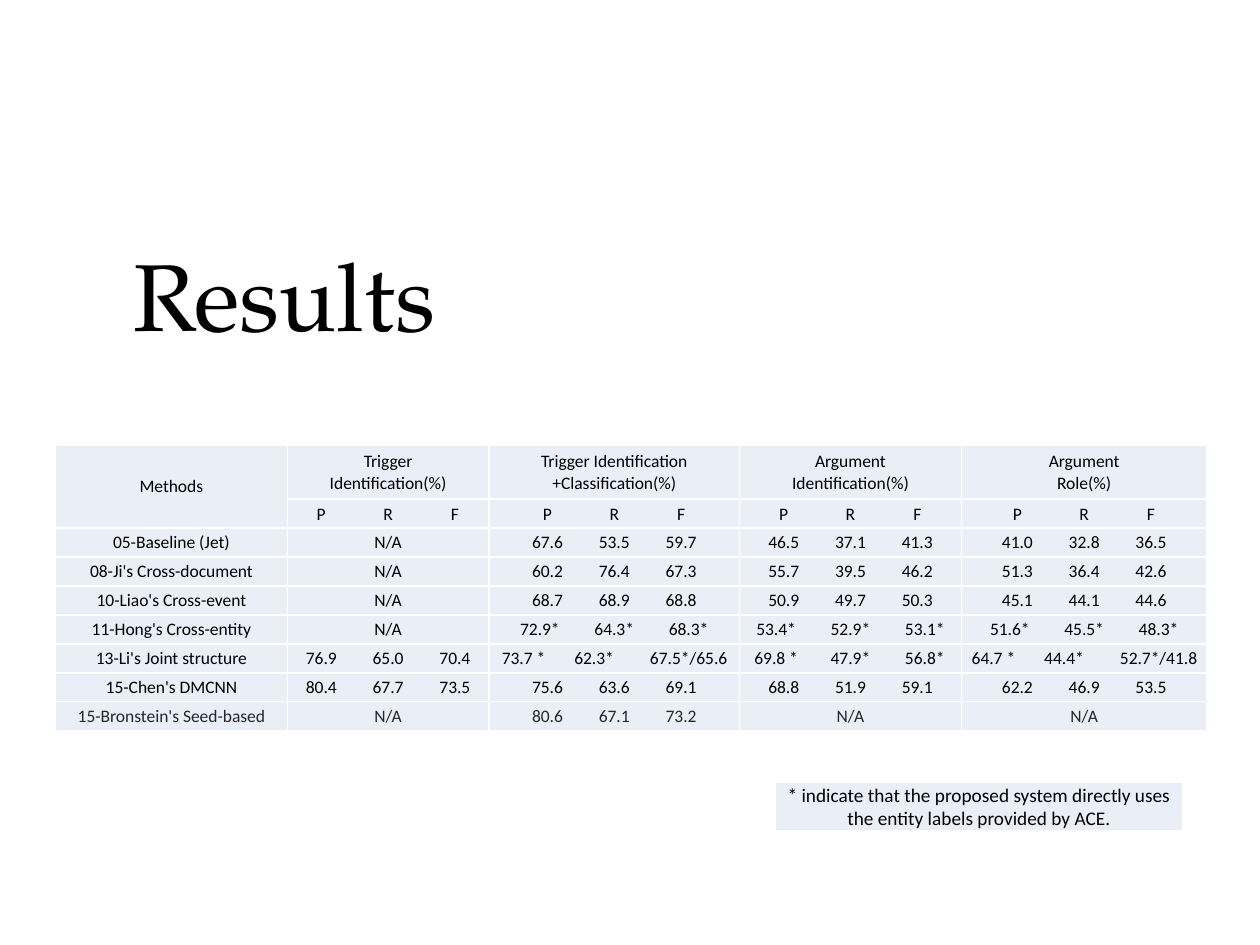
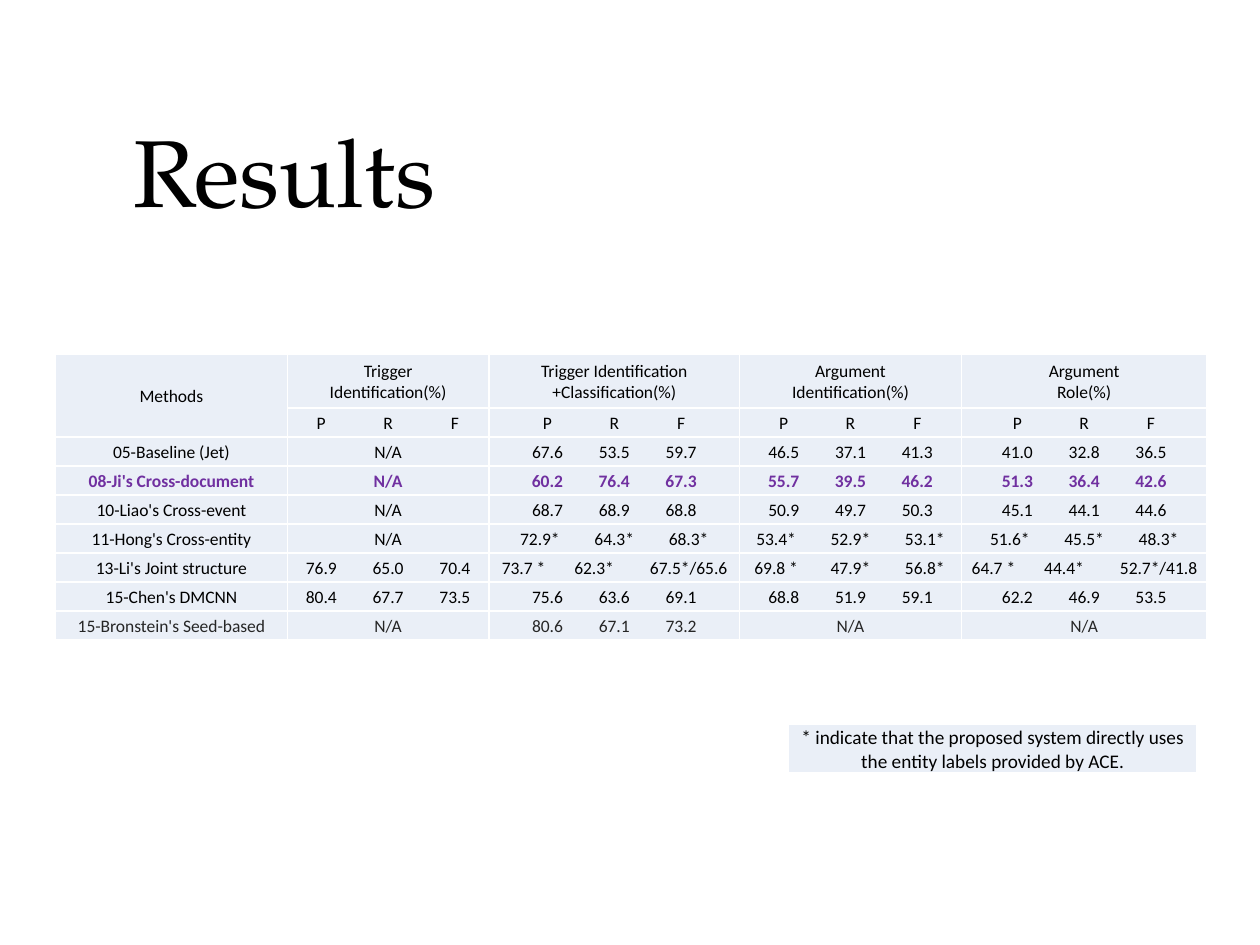
from copy import deepcopy
from dataclasses import dataclass

from lxml.etree import SubElement
from pptx import Presentation
from pptx.dml.color import RGBColor
from pptx.enum.text import MSO_ANCHOR as Anchor, PP_ALIGN as Align
from pptx.oxml import parse_xml
from pptx.oxml.ns import nsdecls, qn
from pptx.util import Inches, Pt


@dataclass(frozen=True)
class Theme:
    """Colours, fonts and type sizes of the deck."""
    ink: str = "000000"
    soft_ink: str = "262626"
    accent: str = "7030A0"
    cell_fill: str = "EAEFF7"
    rule: str = "FFFFFF"
    title_font: str = "TeX Gyre Pagella"
    body_font: str = "Calibri"
    title_size: int = 54
    table_size: int = 10
    note_size: int = 11


theme = Theme()

NOTE = ("* indicate that the proposed system directly uses "
        "the entity labels provided by ACE.")
COLUMN_WIDTHS = [1.84, 1.6, 1.99, 1.76, 1.95]
ROW_HEIGHTS = [0.43] + [0.23] * 8
CELL_INSET = 0.01

# A bar separates the precision, recall and F values in one cell.
RESULTS = [
    ["Methods", "Trigger\vIdentification(%)",
     "Trigger Identification\v+Classification(%)",
     "Argument\vIdentification(%)", "Argument\vRole(%)"],
    [""] + ["P|R|F"] * 4,
    ["05-Baseline (Jet)", "N/A",
     "67.6|53.5|59.7", "46.5|37.1|41.3", "41.0|32.8|36.5"],
    ["08-Ji's Cross-document", "N/A",
     "60.2|76.4|67.3", "55.7|39.5|46.2", "51.3|36.4|42.6"],
    ["10-Liao's Cross-event", "N/A",
     "68.7|68.9|68.8", "50.9|49.7|50.3", "45.1|44.1|44.6"],
    ["11-Hong's Cross-entity", "N/A",
     "72.9*|64.3*|68.3*", "53.4*|52.9*|53.1*", "51.6*|45.5*|48.3*"],
    ["13-Li's Joint structure", "76.9|65.0|70.4",
     "73.7 *|62.3*|67.5*/65.6", "69.8 *|47.9*|56.8*",
     "64.7 *|44.4*|52.7*/41.8"],
    ["15-Chen's DMCNN", "80.4|67.7|73.5",
     "75.6|63.6|69.1", "68.8|51.9|59.1", "62.2|46.9|53.5"],
    ["15-Bronstein's Seed-based", "N/A", "80.6|67.1|73.2", "N/A", "N/A"],
]
HIGHLIGHT_ROW = 3
LAST_ROW = len(RESULTS) - 1

# Top edges of the parts that move, and the row shown in the accent colour.
PAGES = [
    {"title_top": 1.66, "table_top": 3.53, "note_at": (6.15, 6.21),
     "highlight": None},
    {"title_top": 0.68, "table_top": 2.81, "note_at": (6.26, 5.75),
     "highlight": HIGHLIGHT_ROW},
]


def style_text(para, font, size, color, bold=False):
    """Give the runs and line breaks of a paragraph one look."""
    for span in para.runs:
        looks = {"name": font, "size": Pt(size), "bold": bold}
        for name, value in looks.items():
            setattr(span.font, name, value)
        span.font.color.rgb = RGBColor.from_string(color)
    for line_break in para._p.findall(qn("a:br")):
        line_break.append(deepcopy(para.runs[0]._r.rPr))


def fill_table(page, left, top, widths, heights, rows, size, colors, bold_row):
    """Draw a table of tinted cells with white rules and return it."""
    frame = page.shapes.add_table(
        len(rows), len(widths), Inches(left), Inches(top),
        Inches(sum(widths)), Inches(sum(heights)))
    table = frame.table
    table.first_row = table.horz_banding = False
    for column, width in zip(table.columns, widths):
        column.width = Inches(width)
    for row, height in zip(table.rows, heights):
        row.height = Inches(height)

    for row_index, row in enumerate(rows):
        for column_index, text in enumerate(row):
            cell = table.cell(row_index, column_index)
            layout = {"margin_left": Inches(CELL_INSET),
                      "margin_right": Inches(CELL_INSET),
                      "margin_top": Inches(CELL_INSET),
                      "margin_bottom": 0,
                      "vertical_anchor": Anchor.MIDDLE}
            for name, value in layout.items():
                setattr(cell, name, value)
            cell.fill.solid()
            cell.fill.fore_color.rgb = RGBColor.from_string(theme.cell_fill)
            for place, side in enumerate(("lnL", "lnR", "lnT", "lnB")):
                cell._tc.tcPr.insert(place, parse_xml(
                    f'<a:{side} {nsdecls("a")} w="{Pt(1)}"><a:solidFill>'
                    f'<a:srgbClr val="{theme.rule}"/></a:solidFill></a:{side}>'))

            para = cell.text_frame.paragraphs[0]
            para.alignment = Align.CENTER
            if "|" in text:
                # Three centred tab stops around the middle of the column.
                para.alignment = Align.LEFT
                offsets = (-0.53, 0, 0.53)
                if "/" in text:
                    offsets = (-0.72, -0.16, 0.59)
                elif "*" in text:
                    offsets = (-0.59, 0, 0.59)
                middle = widths[column_index] / 2 - CELL_INSET
                stops = SubElement(para._p.get_or_add_pPr(), qn("a:tabLst"))
                for offset in offsets:
                    SubElement(stops, qn("a:tab"), algn="ctr",
                               pos=str(Inches(middle + offset)))
                text = "\t" + text.replace("|", "\t")
            para.text = text
            style_text(para, theme.body_font, size,
                       colors.get(row_index, theme.ink), row_index == bold_row)
    return table


deck = Presentation()
deck.slide_width, deck.slide_height = Inches(10), Inches(7.5)
blank = deck.slide_layouts[6]

for plan in PAGES:
    page = deck.slides.add_slide(blank)

    title = page.shapes.add_textbox(
        Inches(0.96), Inches(plan["title_top"]), Inches(8.62), Inches(1.45))
    title.text_frame.word_wrap = True
    title.text_frame.vertical_anchor = Anchor.MIDDLE
    para = title.text_frame.paragraphs[0]
    para.text = "Results"
    para.line_spacing = 0.9
    style_text(para, theme.title_font, theme.title_size, theme.ink)

    fill_table(page, *plan["note_at"], [3.24], [0.38], [[NOTE]],
               theme.note_size, {}, None)

    row_colors = {LAST_ROW: theme.soft_ink, plan["highlight"]: theme.accent}
    results = fill_table(page, 0.44, plan["table_top"], COLUMN_WIDTHS,
                         ROW_HEIGHTS, RESULTS, theme.table_size, row_colors,
                         plan["highlight"])
    results.cell(0, 0).merge(results.cell(1, 0))

deck.save("out.pptx")
